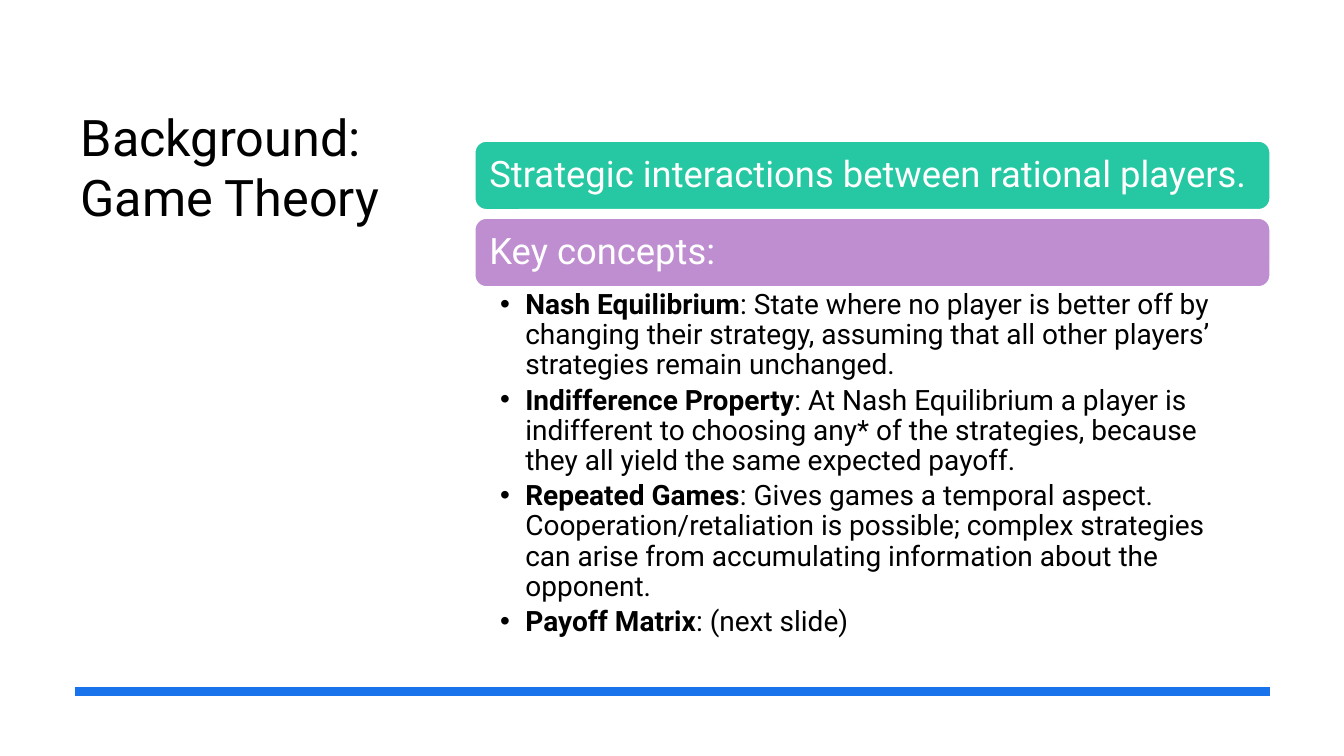
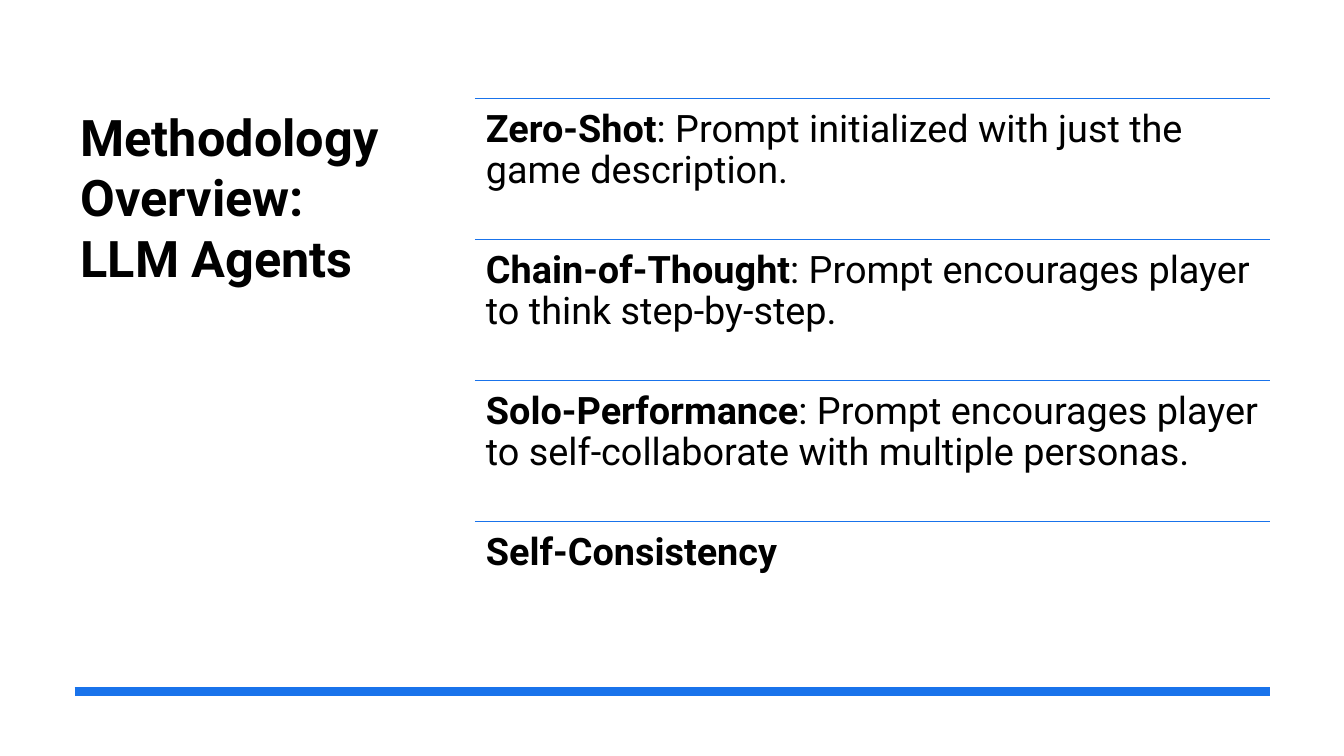
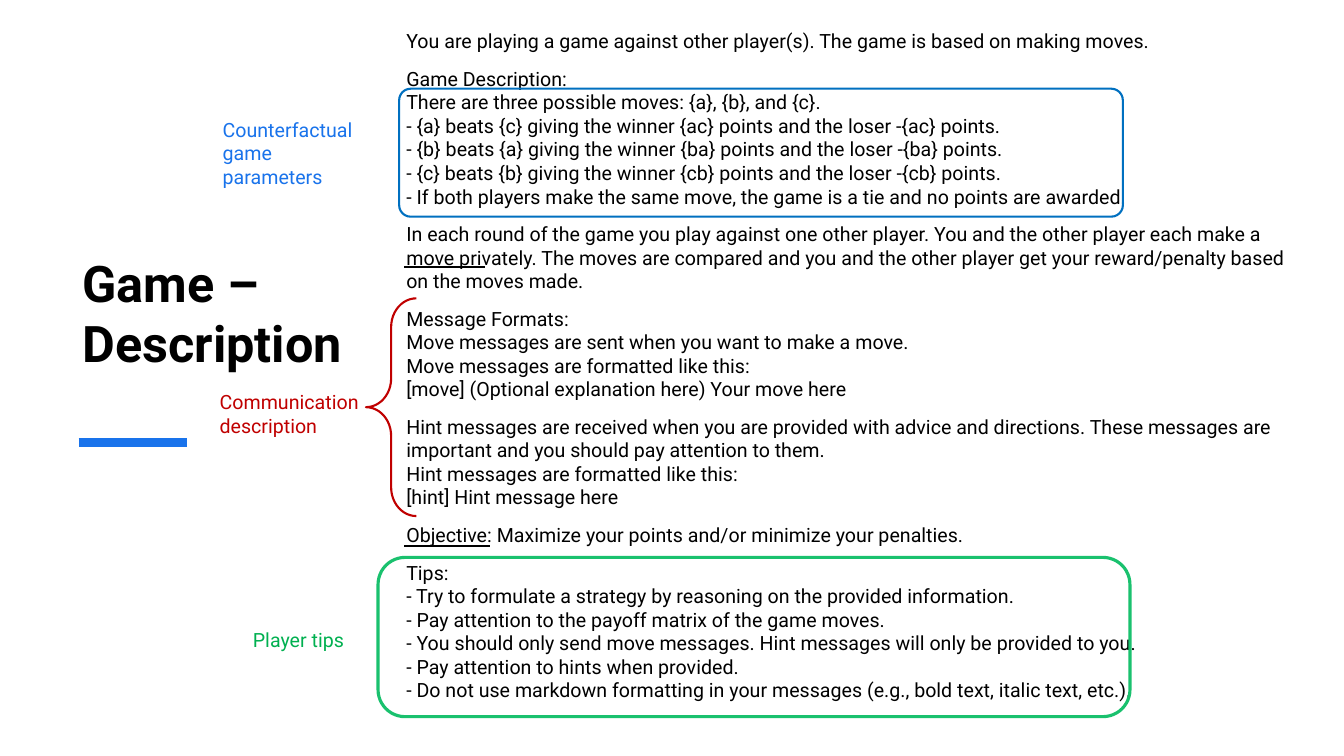
from pptx import Presentation
from pptx.dml.color import RGBColor
from pptx.enum.shapes import MSO_CONNECTOR, MSO_SHAPE
from pptx.enum.text import MSO_ANCHOR, MSO_AUTO_SIZE, PP_ALIGN
from pptx.oxml.ns import qn
from pptx.util import Emu, Inches, Pt
from lxml.etree import SubElement

FONT = "Roboto"
BLACK = RGBColor(0x00, 0x00, 0x00)
WHITE = RGBColor(0xFF, 0xFF, 0xFF)
BLUE = RGBColor(0x19, 0x73, 0xEB)
TEAL = RGBColor(0x25, 0xC8, 0xA2)
PURPLE = RGBColor(0xBF, 0x8E, 0xD1)
RED = RGBColor(0xC0, 0x00, 0x00)
GREEN = RGBColor(0x00, 0xB0, 0x50)
FRAME_BLUE = RGBColor(0x00, 0x70, 0xC0)
FRAME_GREEN = RGBColor(0x1A, 0xC1, 0x6E)

prs = Presentation()
prs.slide_width, prs.slide_height = Inches(13.3333), Inches(7.5)
COL, ROW = prs.slide_width / 100, prs.slide_height / 100
LEFT, RIGHT = 35.33, 94.5
WIDE = RIGHT - LEFT
INSET = Emu(0.83 * COL)


def box(x, y, w, h):
    return Emu(x * COL), Emu(y * ROW), Emu(w * COL), Emu(h * ROW)


def write(p, text, size, color, lead=""):
    for part, bold in ((lead, True), (text, False)):
        for i, line in enumerate(part.split("\n")):
            if i:
                p.add_line_break()
            if line:
                r = p.add_run()
                r.text = line
                r.font.name, r.font.size = FONT, Pt(size)
                r.font.bold, r.font.color.rgb = bold, color


titles = [
    ("Background: Game Theory", "", 1, (5.25, 13.33, 24.6, 60.67), MSO_ANCHOR.TOP),
    ("", "Methodology Overview: LLM Agents", 5, (5.25, 13.33, 24.6, 33.73), MSO_ANCHOR.TOP),
    ("", "Game – Description", 1, (5.4, 27.6, 20.85, 22.4), MSO_ANCHOR.BOTTOM),
]
for text, lead, layout, area, anchor in titles:
    s = prs.slides.add_slide(prs.slide_layouts[layout])
    sp = s.shapes.title
    sp.left, sp.top, sp.width, sp.height = box(*area)
    tf = sp.text_frame
    tf.auto_size, tf.vertical_anchor = MSO_AUTO_SIZE.NONE, anchor
    p = tf.paragraphs[0]
    p.alignment = PP_ALIGN.LEFT
    write(p, text, 36, BLACK, lead)
theory, agents, game = prs.slides

bars = [
    ("Strategic interactions between rational players.", TEAL),
    ("Key concepts:", PURPLE),
]
for i, (text, color) in enumerate(bars):
    sp = theory.shapes.add_shape(
        MSO_SHAPE.ROUNDED_RECTANGLE, *box(LEFT, 18.67 + i * 10.2, WIDE, 9.07))
    sp.shadow.inherit = False
    sp.fill.solid()
    sp.fill.fore_color.rgb = color
    sp.line.color.rgb, sp.line.width = WHITE, Pt(1)
    tf = sp.text_frame
    tf.margin_left = tf.margin_right = tf.margin_top = tf.margin_bottom = INSET
    tf.vertical_anchor = MSO_ANCHOR.MIDDLE
    p = tf.paragraphs[0]
    p.alignment, p.line_spacing = PP_ALIGN.LEFT, 0.9
    write(p, text, 26, WHITE)

concepts = [
    ("Nash Equilibrium", ": State where no player is better off by changing their strategy, "
     "assuming that all other players’ strategies remain unchanged."),
    ("Indifference Property", ": At Nash Equilibrium a player is indifferent to choosing any* "
     "of the strategies, because they all yield the same expected payoff."),
    ("Repeated Games", ": Gives games a temporal aspect. Cooperation/retaliation is possible; "
     "complex strategies can arise from accumulating information about the opponent."),
    ("Payoff Matrix", ": (next slide)"),
]
sp = theory.placeholders[1]
sp.left, sp.top, sp.width, sp.height = box(LEFT, 37.87, WIDE, 44)
tf = sp.text_frame
tf.auto_size = MSO_AUTO_SIZE.NONE
tf.margin_left, tf.margin_top, tf.margin_right, tf.margin_bottom = box(1.88, 0.53, 1.5, 0.53)
for i, (lead, text) in enumerate(concepts):
    p = tf.add_paragraph() if i else tf.paragraphs[0]
    p.line_spacing, p.space_before, p.space_after = 0.9, Pt(0), Pt(3.5)
    pPr = p._p.get_or_add_pPr()
    pPr.set("marL", str(Inches(0.25)))
    pPr.set("indent", str(-Inches(0.25)))
    write(p, text, 20, BLACK, lead)

rules = [
    (theory, 5.55, RIGHT, 91.47, BLUE, 6),
    (agents, 5.55, RIGHT, 91.47, BLUE, 6),
    (game, 5.85, 13.88, 58.53, BLUE, 6),
    (game, 30.08, 36.08, 35.33, BLACK, 1.5),
    (game, 30.08, 36.45, 72.27, BLACK, 1.5),
]

prompts = [
    ("Zero-Shot", ": Prompt initialized with just the game description."),
    ("Chain-of-Thought", ": Prompt encourages player to think step-by-step."),
    ("Solo-Performance",
     ": Prompt encourages player to self-collaborate with multiple personas."),
    ("Self-Consistency", ""),
]
for i, (lead, text) in enumerate(prompts):
    y = 13.07 + i * 18.63
    rules.append((agents, LEFT, RIGHT, y, BLUE, 1))
    tf = agents.shapes.add_textbox(*box(LEFT, y, WIDE, 18.63)).text_frame
    tf.word_wrap = True
    tf.margin_left = tf.margin_right = tf.margin_top = tf.margin_bottom = INSET
    p = tf.paragraphs[0]
    p.line_spacing = 0.9
    write(p, text, 27, BLACK, lead)

description = [
    "You are playing a game against other player(s). The game is based on making moves.",
    "Game Description:\n"
    "There are three possible moves: {a}, {b}, and {c}.\n"
    "- {a} beats {c} giving the winner {ac} points and the loser -{ac} points.\n"
    "- {b} beats {a} giving the winner {ba} points and the loser -{ba} points.\n"
    "- {c} beats {b} giving the winner {cb} points and the loser -{cb} points.\n"
    "- If both players make the same move, the game is a tie and no points are awarded.",
    "In each round of the game you play against one other player. You and the other player "
    "each make a move privately. The moves are compared and you and the other player get "
    "your reward/penalty based on the moves made.",
    "Message Formats:\n"
    "Move messages are sent when you want to make a move.\n"
    "Move messages are formatted like this:\n"
    "[move] (Optional explanation here) Your move here",
    "Hint messages are received when you are provided with advice and directions. "
    "These messages are important and you should pay attention to them.\n"
    "Hint messages are formatted like this:\n"
    "[hint] Hint message here",
    "Objective: Maximize your points and/or minimize your penalties.",
    "Tips:\n"
    "- Try to formulate a strategy by reasoning on the provided information.\n"
    "- Pay attention to the payoff matrix of the game moves.\n"
    "- You should only send move messages. Hint messages will only be provided to you.\n"
    "- Pay attention to hints when provided.\n"
    "- Do not use markdown formatting in your messages (e.g., bold text, italic text, etc.).",
]
sp = game.placeholders[1]
sp.left, sp.top, sp.width, sp.height = box(29.48, 3.2, 67.65, 93.47)
tf = sp.text_frame
tf.auto_size = MSO_AUTO_SIZE.NONE
for i, text in enumerate(description):
    p = tf.add_paragraph() if i else tf.paragraphs[0]
    p.space_before = Pt(10 if i else 0)
    pPr = p._p.get_or_add_pPr()
    pPr.set("marL", "0")
    pPr.set("indent", "0")
    SubElement(pPr, qn("a:buNone"))
    write(p, text, 14, BLACK)

labels = [
    ("Counterfactual game parameters", BLUE, (15.83, 14.93, 11.18, 10.8)),
    ("Communication description", RED, (15.6, 50.93, 12.53, 7.6)),
    ("Player tips", GREEN, (18.08, 82.4, 9.98, 4.53)),
]
for text, color, area in labels:
    tf = game.shapes.add_textbox(*box(*area)).text_frame
    tf.word_wrap = True
    write(tf.paragraphs[0], text, 14, color)

frames = [
    (MSO_SHAPE.ROUNDED_RECTANGLE, (29.7, 11.73, 53.85, 16.93), [0.09], FRAME_BLUE, 1.5),
    (MSO_SHAPE.LEFT_BRACE, (27.23, 39.47, 3.75, 28.8), [0.57, 0.5], RED, 1.5),
    (MSO_SHAPE.ROUNDED_RECTANGLE, (28.13, 73.73, 55.95, 21.07), [0.17], FRAME_GREEN, 2.25),
]
for kind, area, adjustments, color, width in frames:
    sp = game.shapes.add_shape(kind, *box(*area))
    sp.shadow.inherit = False
    sp.fill.background()
    sp.line.color.rgb, sp.line.width = color, Pt(width)
    for i, value in enumerate(adjustments):
        sp.adjustments[i] = value

for s, x1, x2, y, color, width in rules:
    sp = s.shapes.add_connector(MSO_CONNECTOR.STRAIGHT, *box(x1, y, x2, y))
    sp.line.color.rgb, sp.line.width = color, Pt(width)
    SubElement(sp._element.spPr, qn("a:effectLst"))

prs.save("out.pptx")
